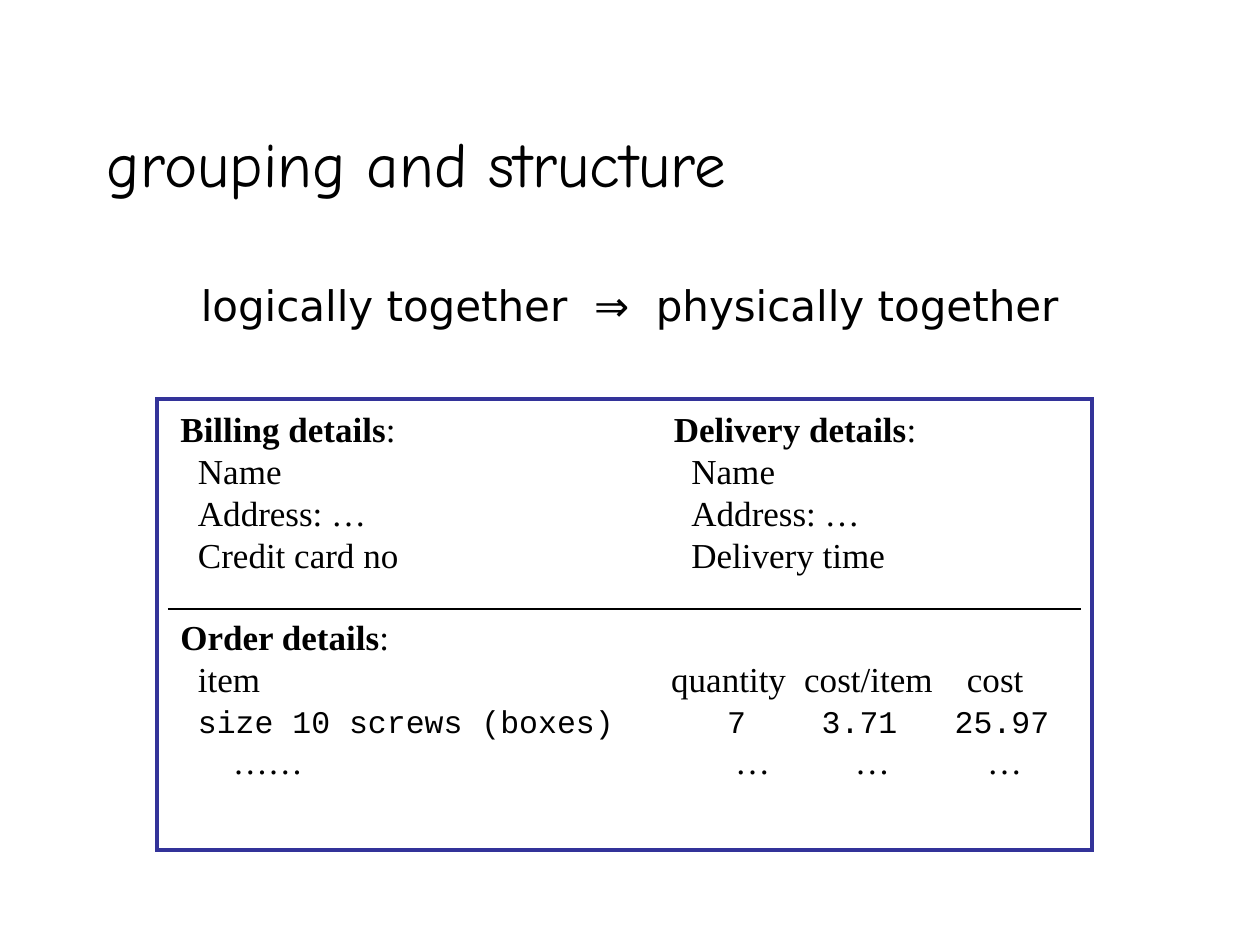
from lxml.etree import SubElement
from pptx import Presentation
from pptx.dml.color import RGBColor
from pptx.enum.shapes import MSO_CONNECTOR, MSO_SHAPE
from pptx.enum.text import MSO_ANCHOR, PP_ALIGN
from pptx.oxml.ns import qn
from pptx.util import Pt

COLOURS = {"ink": "000000", "paper": "FFFFFF", "frame": "333399"}
SERIF, MONO = "Times New Roman", "Courier New"
INDENT = 10
LEFT, ORDER_TOP, LINE_HEIGHT = 96, 348, 24

DETAILS = [
    (LEFT, "Billing details", ["Name", "Address: …", "Credit card no"]),
    (378, "Delivery details", ["Name", "Address: …", "Delivery time"]),
]
# Font, size and space before of the header, value and ellipsis rows.
ORDER_STYLES = [(SERIF, 20, 0), (MONO, 18, 1.5), (SERIF, 20, 0)]
ORDER_ITEMS = [("item", INDENT), ("size 10 screws (boxes)", INDENT), ("……", 30)]
# Each column: its left edge from LEFT, then text and indent of each row.
ORDER_COLUMNS = [
    (280.5, [("quantity", 0), ("7", 32), ("…", 36.5)]),
    (356.5, [("cost/item", 0), ("3.71", 10), ("…", 29)]),
    (442.5, [("cost", 7), ("25.97", 0), ("…", 18.5)]),
]


def colour(name):
    return RGBColor.from_string(COLOURS[name])


def style(span, font, size, bold=False):
    span.font.name = font
    span.font.size = Pt(size)
    span.font.bold = bold
    span.font.color.rgb = colour("ink")


def add_text_box(page, left, top, width, height):
    box = page.shapes.add_textbox(Pt(left), Pt(top), Pt(width), Pt(height))
    box.text_frame.word_wrap = True
    return box.text_frame


def add_line_of_text(page, bounds, text, font, size):
    frame = add_text_box(page, *bounds)
    frame.text = text
    para = frame.paragraphs[0]
    style(para.runs[0], font, size)
    return frame, para


def add_heading(frame, text):
    para = frame.paragraphs[0]
    for part, bold in ((text, True), (":", False)):
        span = para.add_run()
        span.text = part
        style(span, SERIF, 20, bold)


def add_row(frame, text, indent, font=SERIF, size=20, space=0):
    """Write into the first paragraph while the frame is empty, else add one."""
    para = frame.add_paragraph() if frame.text else frame.paragraphs[0]
    para.text = text
    para.space_before = Pt(space)
    properties = para._p.get_or_add_pPr()
    properties.set("marL", str(Pt(indent)))
    properties.set("indent", "0")
    style(para.runs[0], font, size)


def add_order_rows(frame, rows):
    for (text, indent), row_style in zip(rows, ORDER_STYLES):
        add_row(frame, text, indent, *row_style)


def add_frame(page):
    panel = page.shapes.add_shape(MSO_SHAPE.RECTANGLE, Pt(90), Pt(228), Pt(534), Pt(258))
    panel.shadow.inherit = False
    panel.fill.solid()
    panel.fill.fore_color.rgb = colour("paper")
    panel.line.color.rgb = colour("frame")
    panel.line.width = Pt(2.25)
    SubElement(panel._element.spPr.find(qn("a:ln")), qn("a:miter"), lim="800000")


def add_divider(page):
    rule = page.shapes.add_connector(
        MSO_CONNECTOR.STRAIGHT, Pt(LEFT), Pt(ORDER_TOP), Pt(618), Pt(ORDER_TOP))
    rule.line.color.rgb = colour("ink")
    rule.line.width = Pt(1)
    SubElement(rule._element.spPr, qn("a:effectLst"))


def add_details(page):
    for left, heading, items in DETAILS:
        frame = add_text_box(page, left, 229.5, 229, 103)
        add_heading(frame, heading)
        for item in items:
            add_row(frame, item, INDENT)


def add_order(page):
    frame = add_text_box(page, LEFT, ORDER_TOP, 280, 127)
    add_heading(frame, "Order details")
    add_order_rows(frame, ORDER_ITEMS)
    for offset, rows in ORDER_COLUMNS:
        frame = add_text_box(page, LEFT + offset, ORDER_TOP + LINE_HEIGHT, 88, 103)
        add_order_rows(frame, rows)


def main():
    deck = Presentation()
    deck.slide_width, deck.slide_height = Pt(720), Pt(540)
    page = deck.slides.add_slide(deck.slide_layouts[6])

    frame, _ = add_line_of_text(
        page, (54, 48, 540, 90), "grouping and structure", "Comic Neue", 36)
    frame.vertical_anchor = MSO_ANCHOR.MIDDLE
    _, para = add_line_of_text(
        page, (54, 156, 612, 48),
        "logically together  ⇒  physically together", "DejaVu Sans", 24)
    para.alignment = PP_ALIGN.CENTER
    para.space_before = Pt(4.8)

    add_frame(page)
    add_details(page)
    add_divider(page)
    add_order(page)

    deck.save("out.pptx")


if __name__ == "__main__":
    main()
